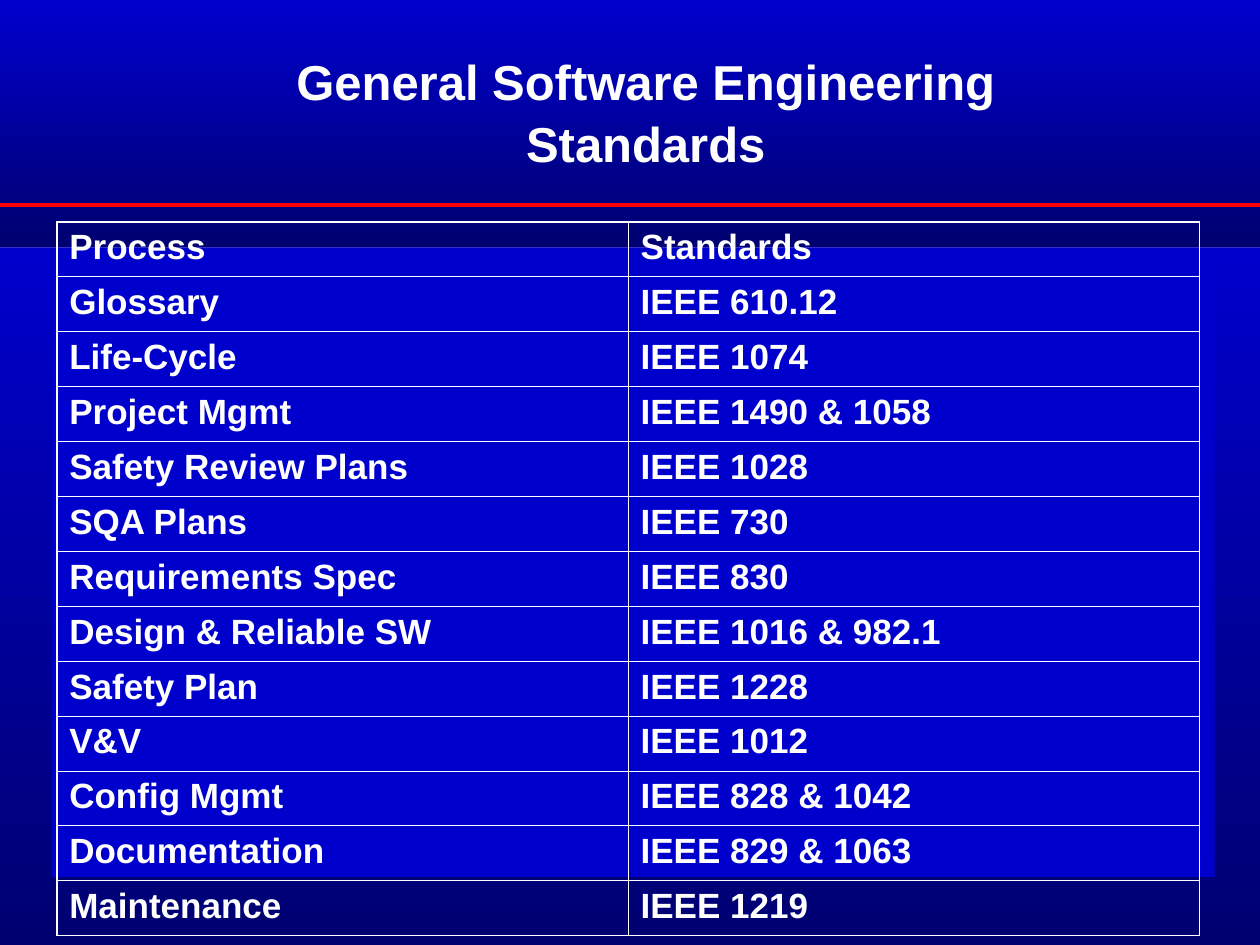
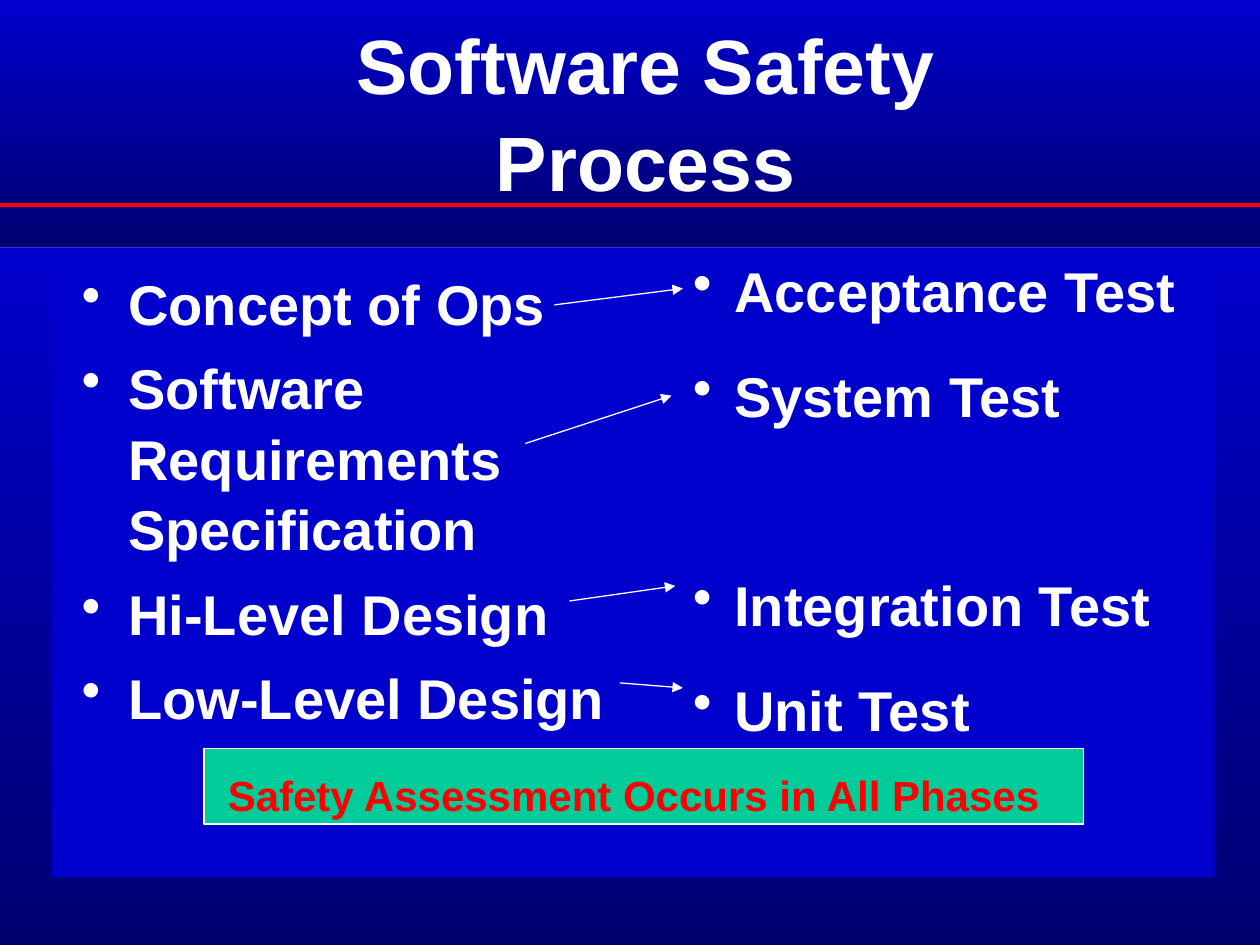
from lxml.etree import SubElement
from pptx import Presentation
from pptx.dml.color import RGBColor
from pptx.enum.shapes import MSO_CONNECTOR as Connector, MSO_SHAPE as Shape
from pptx.enum.text import MSO_ANCHOR as Anchor, PP_ALIGN as Align
from pptx.oxml import parse_xml
from pptx.oxml.ns import nsdecls, qn
from pptx.util import Emu, Inches, Pt

COLORS = {
    "background": "3333CC", "bright": "0000CC", "dark": "000071",
    "rule": "FF0000", "text": "FFFFFF", "banner": "00CC99", "alert": "FF0000",
}
FONT = "Arial"
WIDTH, HEIGHT = 10, 7.5
BAND_HEIGHT, LOWER_TOP, RULE_Y = 1.96, 1.97, 1.63
PANEL = (0.41, 1.98, 9.23, 4.98)
TITLE_BOX = (1.77, 0.25, 6.71, 1.25)
LINE_SPACING = 1.05

STANDARDS_TITLE = ("General Software Engineering Standards", 28)
STANDARDS = [
    ("Process", "Standards"),
    ("Glossary", "IEEE 610.12"),
    ("Life-Cycle", "IEEE 1074"),
    ("Project Mgmt", "IEEE 1490 & 1058"),
    ("Safety Review Plans", "IEEE 1028"),
    ("SQA Plans", "IEEE 730"),
    ("Requirements Spec", "IEEE 830"),
    ("Design & Reliable SW", "IEEE 1016 & 982.1"),
    ("Safety Plan", "IEEE 1228"),
    ("V&V", "IEEE 1012"),
    ("Config Mgmt", "IEEE 828 & 1042"),
    ("Documentation", "IEEE 829 & 1063"),
    ("Maintenance", "IEEE 1219"),
]
TABLE_BOX = (0.45, 1.76, 9.07, 5.67)
OUTER_BORDER, INNER_BORDER = 1.08, 0.45

PROCESS_TITLE = ("Software Safety Process", 44)
PHASES = {
    "box": (0.55, 2.06, 4.4, 4.5), "indent": 0.37,
    "items": [("Concept of Ops", 0), ("Software Requirements Specification", 8),
              ("Hi-Level Design", 8), ("Low-Level Design", 8)],
}
TESTS = {
    "box": (5.4, 1.96, 4.25, 3.86), "indent": 0.33,
    "items": [("Acceptance Test", 0), ("System Test", 20),
              ("Integration Test", 78.6), ("Unit Test", 20)],
}
PHASE_TO_TEST = [
    ((4.4, 2.42), (5.42, 2.29)),
    ((4.17, 3.52), (5.33, 3.14)),
    ((4.52, 4.77), (5.36, 4.65)),
    ((4.92, 5.42), (5.42, 5.46)),
]
BANNER_TEXT = "Safety Assessment Occurs in All Phases"
BANNER_BOX, BANNER_TEXT_BOX = (1.62, 5.94, 6.98, 0.6), (1.71, 6.04, 7.17, 0.5)


def color(name):
    return RGBColor.from_string(COLORS[name])


def inches(values):
    return [Inches(value) for value in values]


def style(paragraph, size, color_name="text"):
    font = paragraph.font
    for target in [font] + [run.font for run in paragraph.runs]:
        target.name, target.size, target.bold = FONT, Pt(size), True
        target.color.rgb = color(color_name)


def add_rectangle(slide, box, fill_names, line_name=None):
    shape = slide.shapes.add_shape(Shape.RECTANGLE, *inches(box))
    shape.shadow.inherit = False
    if len(fill_names) == 1:
        shape.fill.solid()
        shape.fill.fore_color.rgb = color(fill_names[0])
    else:
        shape.fill.gradient()
        shape.fill.gradient_angle = 270
        for stop, name in zip(shape.fill.gradient_stops, fill_names):
            stop.color.rgb = color(name)
    if line_name:
        shape.line.color.rgb = color(line_name)
        shape.line.width = Pt(0.75)
    else:
        shape.line.fill.background()


def add_line(slide, start, end, color_name, width, arrow=False):
    connector = slide.shapes.add_connector(Connector.STRAIGHT, *inches(start + end))
    connector.line.color.rgb = color(color_name)
    connector.line.width = Pt(width)
    if arrow:
        SubElement(connector.line._get_or_add_ln(), qn("a:tailEnd"), type="triangle")
    SubElement(connector._element.spPr, qn("a:effectLst"))


def add_text(slide, box, text, size, color_name="text"):
    frame = slide.shapes.add_textbox(*inches(box)).text_frame
    frame.word_wrap = True
    frame.text = text
    for paragraph in frame.paragraphs:
        paragraph.line_spacing = LINE_SPACING
        style(paragraph, size, color_name)
    return frame


def add_bullets(slide, column):
    text = "\n".join(item for item, _ in column["items"])
    frame = add_text(slide, column["box"], text, 32)
    for paragraph, (_, space) in zip(frame.paragraphs, column["items"]):
        paragraph.space_before = Pt(space)
        properties = paragraph._p.get_or_add_pPr()
        properties.set("marL", str(Inches(column["indent"])))
        properties.set("indent", str(-Inches(column["indent"])))
        bullet = parse_xml(f'<a:buChar {nsdecls("a")} char="•"/>')
        properties.insert_element_before(bullet, "a:tabLst", "a:defRPr", "a:extLst")


def add_base_slide(presentation, title, title_size):
    slide = presentation.slides.add_slide(presentation.slide_layouts[6])
    slide.background.fill.solid()
    slide.background.fill.fore_color.rgb = color("background")
    add_rectangle(slide, (0, 0, WIDTH, BAND_HEIGHT), ("bright", "dark"))
    add_rectangle(slide, (0, LOWER_TOP, WIDTH, HEIGHT - LOWER_TOP), ("bright", "dark"))
    add_rectangle(slide, PANEL, ("bright",))
    add_line(slide, (0, RULE_Y), (WIDTH, RULE_Y), "rule", 2.25)
    frame = add_text(slide, TITLE_BOX, title, title_size)
    frame.vertical_anchor = Anchor.MIDDLE
    frame.paragraphs[0].alignment = Align.CENTER
    return slide


def set_borders(cell, outer_edges):
    properties = cell._tc.get_or_add_tcPr()
    for index, (side, outer) in enumerate(zip("LRTB", outer_edges)):
        width = Pt(OUTER_BORDER if outer else INNER_BORDER)
        properties.insert(index, parse_xml(
            f'<a:ln{side} {nsdecls("a")} w="{width}"><a:solidFill>'
            f'<a:srgbClr val="{COLORS["text"]}"/></a:solidFill></a:ln{side}>'))


def build_standards(presentation):
    slide = add_base_slide(presentation, *STANDARDS_TITLE)
    row_count, column_count = len(STANDARDS), len(STANDARDS[0])
    table = slide.shapes.add_table(row_count, column_count, *inches(TABLE_BOX)).table
    table.first_row = table.horz_banding = False
    for row in table.rows:
        row.height = Emu(Inches(TABLE_BOX[3]) // row_count)
    for row_index, texts in enumerate(STANDARDS):
        for column_index, text in enumerate(texts):
            cell = table.cell(row_index, column_index)
            cell.text_frame.text = text
            style(cell.text_frame.paragraphs[0], 20)
            cell.fill.background()
            set_borders(cell, (column_index == 0, column_index == column_count - 1,
                               row_index == 0, row_index == row_count - 1))


def build_process(presentation):
    slide = add_base_slide(presentation, *PROCESS_TITLE)
    for column in (PHASES, TESTS):
        add_bullets(slide, column)
    for start, end in PHASE_TO_TEST:
        add_line(slide, start, end, "text", 0.75, arrow=True)
    add_rectangle(slide, BANNER_BOX, ("banner",), "text")
    add_text(slide, BANNER_TEXT_BOX, BANNER_TEXT, 24, "alert")


def main():
    """Build the software standards and safety process slides."""
    presentation = Presentation()
    presentation.slide_width, presentation.slide_height = inches((WIDTH, HEIGHT))
    build_standards(presentation)
    build_process(presentation)
    presentation.save("out.pptx")


if __name__ == "__main__":
    main()
